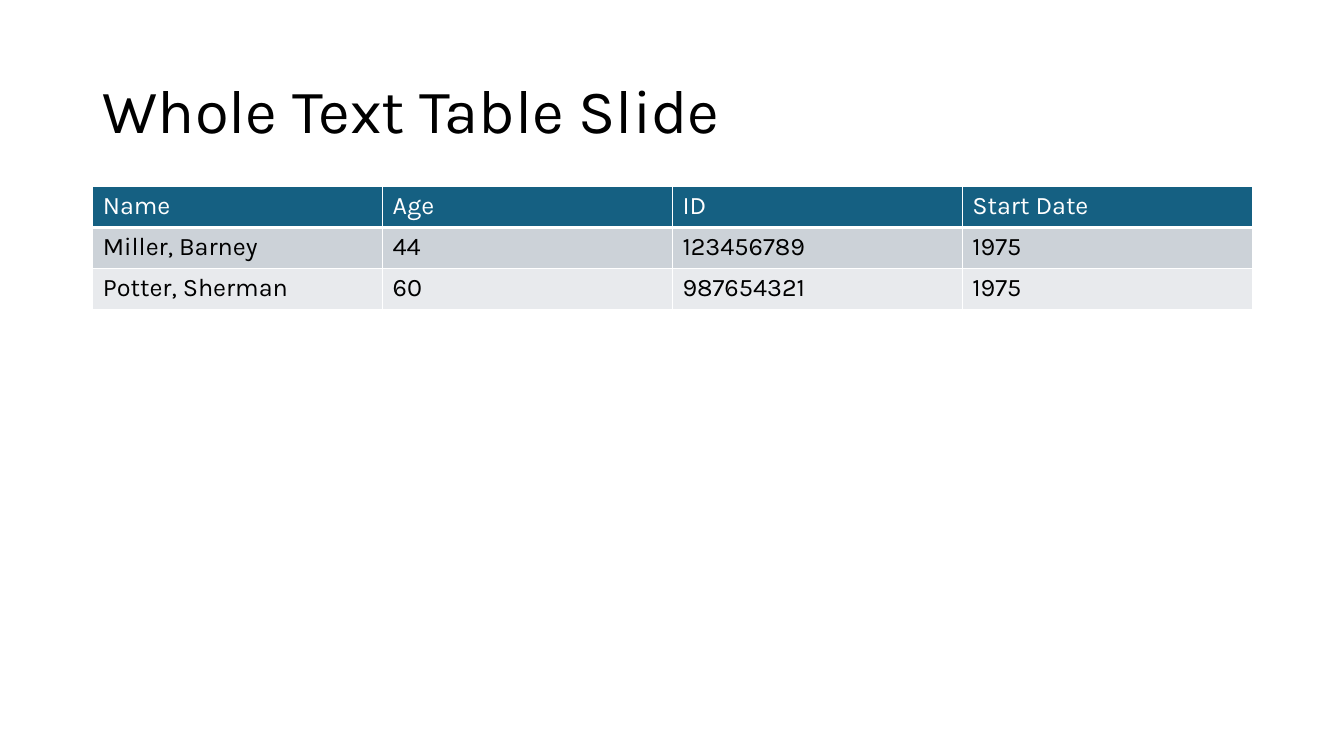
from lxml import etree
from pptx import Presentation
from pptx.dml.color import RGBColor as RGB
from pptx.enum.text import MSO_ANCHOR, PP_ALIGN
from pptx.oxml.ns import qn
from pptx.util import Inches, Pt

FONT = "Karla"
COLORS = {
    "black": "000000",
    "white": "FFFFFF",
    "header": "156082",
    "odd_row": "CCD2D8",
    "even_row": "E8EAED",
}
STAFF = [
    ("Name", "Age", "ID", "Start Date"),
    ("Miller, Barney", "44", "123456789", "1975"),
    ("Potter, Sherman", "60", "987654321", "1975"),
]
LEFT, WIDTH = Inches(0.92), Inches(11.5)


def add_run(p, text, size, color):
    r = p.add_run()
    r.text = text
    r.font.name = FONT
    r.font.size = Pt(size)
    r.font.color.rgb = RGB.from_string(COLORS[color])


def set_title(s, text):
    title = s.shapes.title
    title.left, title.top = LEFT, Inches(0.4)
    title.width, title.height = WIDTH, Inches(1.45)
    tf = title.text_frame
    tf.word_wrap = True
    tf.vertical_anchor = MSO_ANCHOR.MIDDLE
    p = tf.paragraphs[0]
    p.alignment = PP_ALIGN.LEFT
    p.line_spacing = 0.9
    add_run(p, text, 44, "black")


def set_borders(cell, bottom):
    """Draw white 1 pt borders, with the bottom one as wide as given."""
    tcPr = cell._tc.get_or_add_tcPr()
    for side, width in (("L", 1), ("R", 1), ("T", 1), ("B", bottom)):
        ln = etree.SubElement(tcPr, qn(f"a:ln{side}"), w=str(Pt(width)))
        fill = etree.SubElement(ln, qn("a:solidFill"))
        etree.SubElement(fill, qn("a:srgbClr"), val=COLORS["white"])


def fill_cell(cell, text, fill, color, bottom):
    set_borders(cell, bottom)
    cell.fill.solid()
    cell.fill.fore_color.rgb = RGB.from_string(COLORS[fill])
    add_run(cell.text_frame.paragraphs[0], text, 18, color)


def add_staff_table(s, rows):
    table = s.shapes.add_table(len(rows), len(rows[0]), LEFT, Inches(1.85),
                               WIDTH, Inches(1.22)).table
    for i, row in enumerate(rows):
        if i == 0:
            style = ("header", "white", 3)
        else:
            style = ("odd_row" if i % 2 else "even_row", "black", 1)
        for j, text in enumerate(row):
            fill_cell(table.cell(i, j), text, *style)


def main():
    prs = Presentation()
    prs.slide_width, prs.slide_height = Inches(13.33), Inches(7.5)
    s = prs.slides.add_slide(prs.slide_layouts[5])
    set_title(s, "Whole Text Table Slide")
    add_staff_table(s, STAFF)
    prs.save("out.pptx")


if __name__ == "__main__":
    main()
